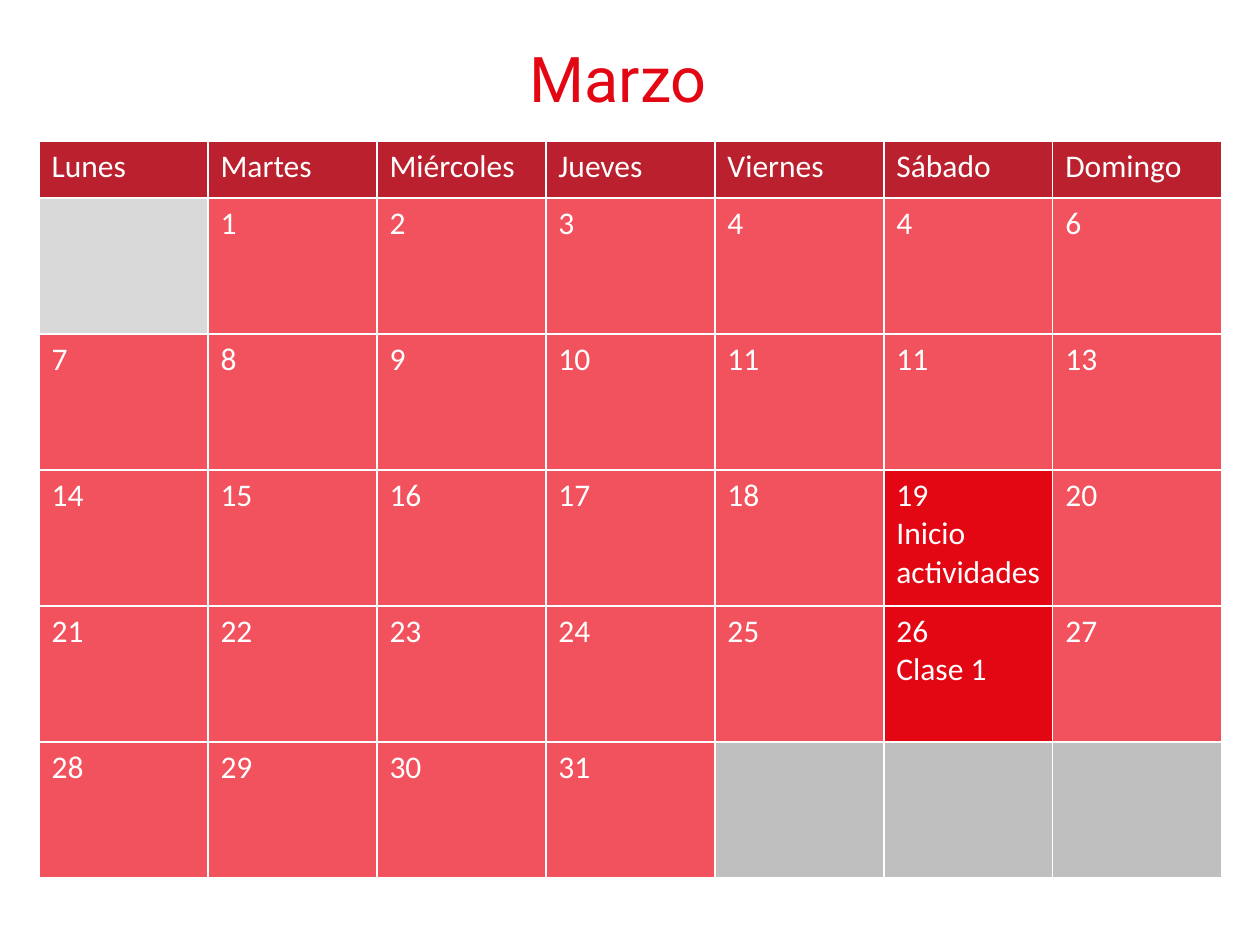
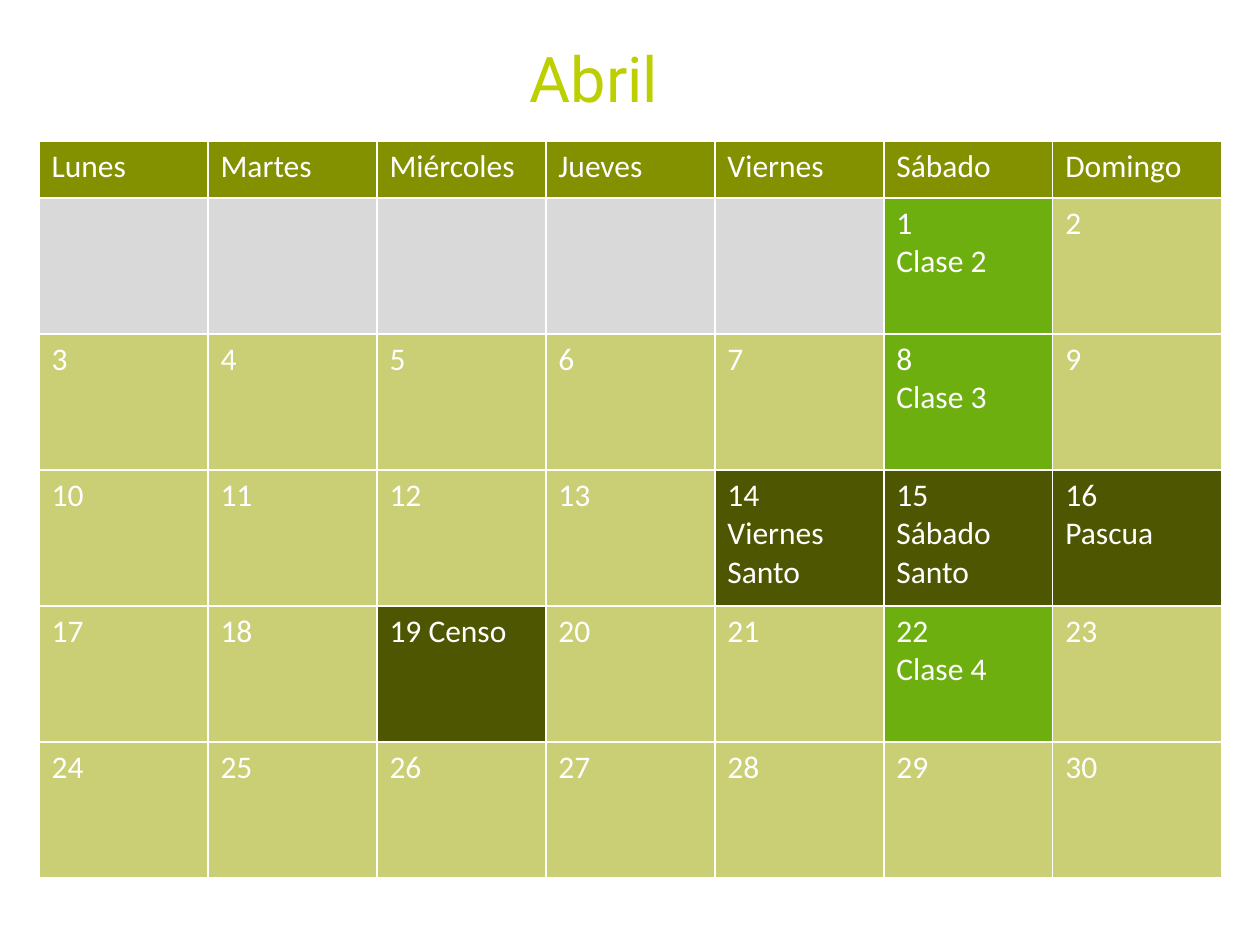
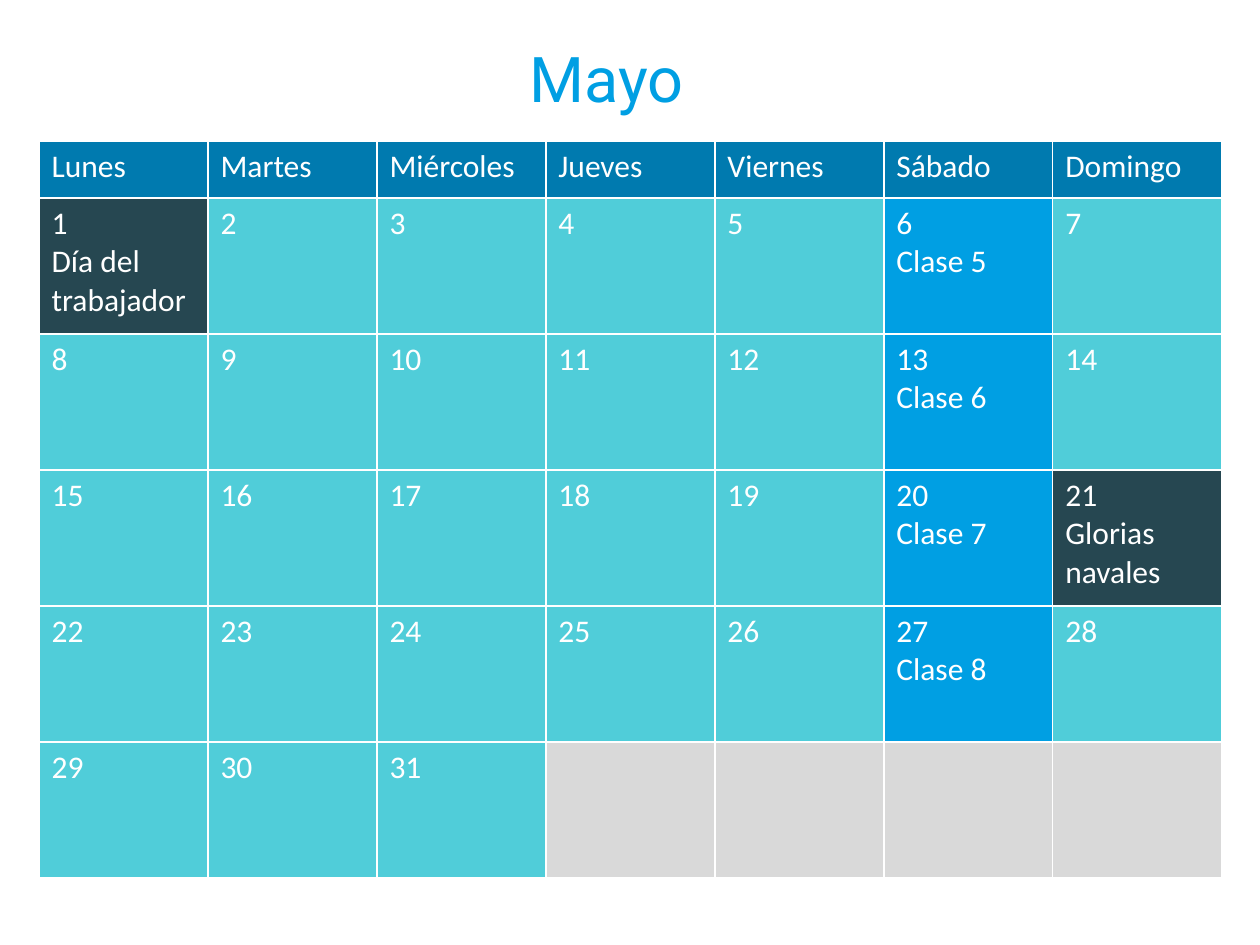
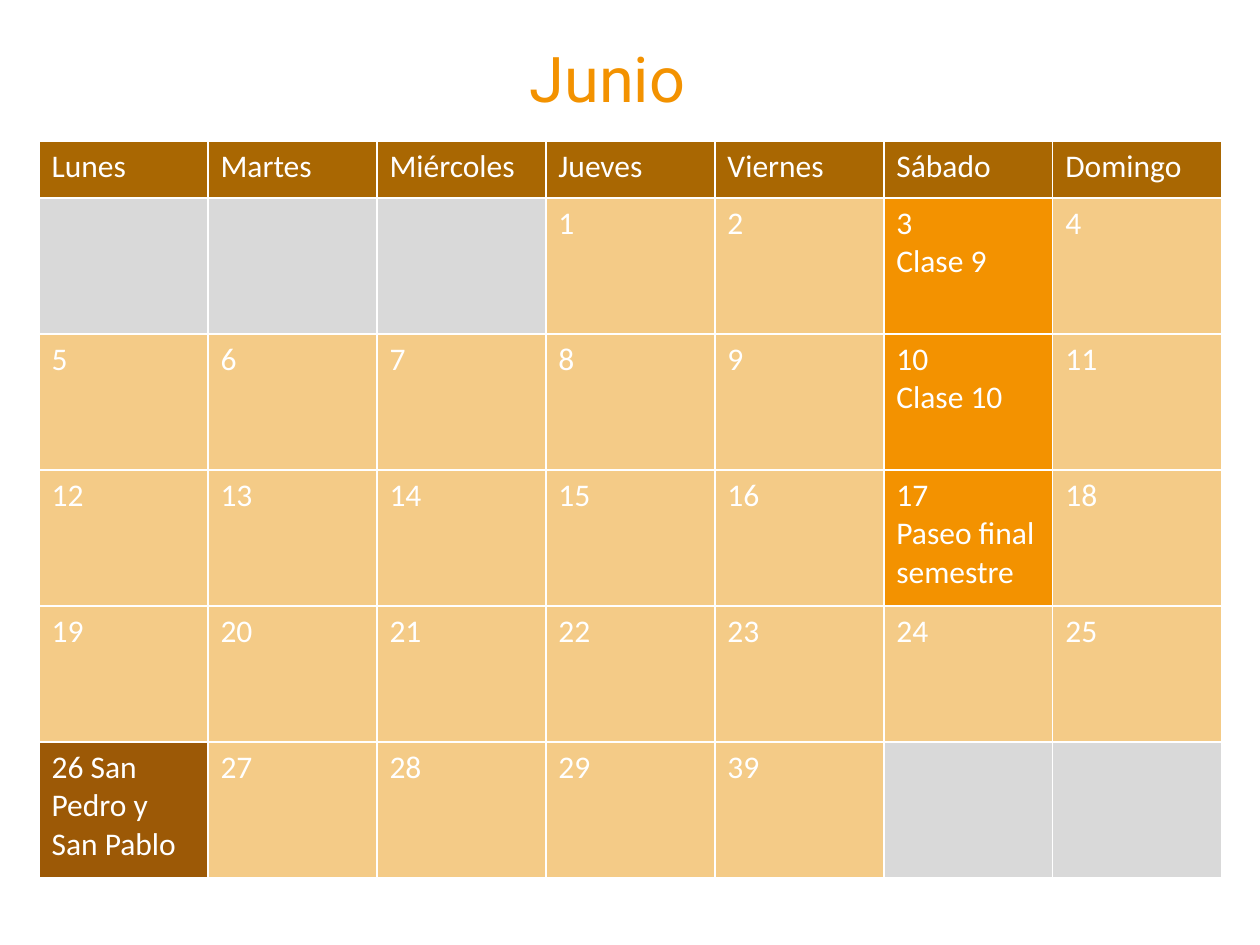
from dataclasses import dataclass, field

from lxml import etree
from pptx import Presentation
from pptx.dml.color import RGBColor
from pptx.enum.text import MSO_ANCHOR, MSO_AUTO_SIZE, PP_ALIGN
from pptx.oxml.ns import qn
from pptx.util import Emu, Pt

LEFT = PP_ALIGN.LEFT
TOP = MSO_ANCHOR.TOP
FIT_SHAPE = MSO_AUTO_SIZE.SHAPE_TO_FIT_TEXT

PX_PER_INCH = 126
EMU_PER_INCH = 914400
TITLE_ONLY = 5

WHITE = "FFFFFF"
BLANK_DAY = "D9D9D9"
TITLE_FONT = "Roboto"
CELL_FONT = "Calibri"

WEEKDAYS = ["Lunes", "Martes", "Miércoles", "Jueves", "Viernes", "Sábado", "Domingo"]
WEEKS = 5
GRID_LEFT, GRID_TOP = 39, 141
DAY_WIDTH, HEADER_HEIGHT, WEEK_HEIGHT = 169, 57, 136
TITLE_LEFT, TITLE_TOP, TITLE_HEIGHT = 517, 33, 89


@dataclass
class Month:
    name: str
    title_width: int
    first_column: int
    length: int
    title_color: str
    header_color: str
    day_color: str
    activity_color: str
    holiday_color: str = ""
    trailing_color: str = BLANK_DAY
    activities: dict = field(default_factory=dict)
    holidays: dict = field(default_factory=dict)
    relabelled: dict = field(default_factory=dict)

    def day_cell(self, position):
        day = position - self.first_column + 1
        if day < 1:
            return "", BLANK_DAY
        if day > self.length:
            return "", self.trailing_color
        if day in self.activities:
            return f"{day}\n{self.activities[day]}", self.activity_color
        if day in self.holidays:
            return f"{day}{self.holidays[day]}", self.holiday_color
        return str(self.relabelled.get(day, day)), self.day_color


MONTHS = [
    Month("Marzo", 217, 1, 31, "E30613", "BA202E", "F2525E", "E30613",
          trailing_color="BFBFBF",
          activities={19: "Inicio actividades", 26: "Clase 1"},
          relabelled={5: 4, 12: 11}),
    Month("Abril", 193, 5, 30, "BCCF00", "839100", "CACE74", "6EAF10", "4E5601",
          activities={1: "Clase 2", 8: "Clase 3", 22: "Clase 4"},
          holidays={14: "\nViernes Santo", 15: "\nSábado Santo",
                    16: "\nPascua", 19: " Censo"}),
    Month("Mayo", 189, 0, 31, "009FE3", "007AAF", "50CDD9", "009FE3", "264751",
          activities={6: "Clase 5", 13: "Clase 6", 20: "Clase 7", 27: "Clase 8"},
          holidays={1: "\nDía del trabajador", 21: "\nGlorias navales"}),
    Month("Junio", 198, 3, 30, "F39200", "A96702", "F4CB87", "F39200", "9C5906",
          activities={3: "Clase 9", 10: "Clase 10", 17: "Paseo final semestre"},
          holidays={26: " San Pedro y San Pablo"},
          relabelled={30: 39}),
]


def px(length):
    return Emu(round(length * EMU_PER_INCH / PX_PER_INCH))


def rgb(color):
    return RGBColor.from_string(color)


def write_text(frame, text, *, size, font, color, align=LEFT):
    frame.text = text
    for paragraph in frame.paragraphs:
        paragraph.alignment = align
        for target in [paragraph, *paragraph.runs]:
            target.font.size = Pt(size)
            target.font.name = font
            target.font.color.rgb = rgb(color)


def add_borders(cell, color, width):
    properties = cell._tc.get_or_add_tcPr()
    for side in ("lnL", "lnR", "lnT", "lnB"):
        line = etree.SubElement(properties, qn(f"a:{side}"), w=str(Pt(width)))
        fill = etree.SubElement(line, qn("a:solidFill"))
        etree.SubElement(fill, qn("a:srgbClr"), val=color)


def format_cell(cell, text, fill):
    add_borders(cell, WHITE, 1)
    cell.fill.solid()
    cell.fill.fore_color.rgb = rgb(fill)
    write_text(cell.text_frame, text, size=18, font=CELL_FONT, color=WHITE)


def place_title(slide, month):
    title = slide.shapes.title
    title.left, title.top = px(TITLE_LEFT), px(TITLE_TOP)
    title.width, title.height = px(month.title_width), px(TITLE_HEIGHT)
    frame = title.text_frame
    frame.word_wrap = False
    frame.auto_size = FIT_SHAPE
    frame.vertical_anchor = TOP
    write_text(frame, month.name, size=36, font=TITLE_FONT, color=month.title_color)


def add_calendar(slide, month):
    columns = len(WEEKDAYS)
    width = columns * DAY_WIDTH
    height = HEADER_HEIGHT + WEEKS * WEEK_HEIGHT
    calendar = slide.shapes.add_table(
        WEEKS + 1, columns, px(GRID_LEFT), px(GRID_TOP), px(width), px(height)
    ).table
    calendar.horz_banding = False
    calendar.first_row = False
    for index, row in enumerate(calendar.rows):
        row.height = px(WEEK_HEIGHT if index else HEADER_HEIGHT)
    for column, weekday in enumerate(WEEKDAYS):
        format_cell(calendar.cell(0, column), weekday, month.header_color)
    for position in range(WEEKS * columns):
        week, column = divmod(position, columns)
        format_cell(calendar.cell(week + 1, column), *month.day_cell(position))


def main():
    presentation = Presentation()
    presentation.slide_width = px(1260)
    presentation.slide_height = px(945)
    for month in MONTHS:
        slide = presentation.slides.add_slide(presentation.slide_layouts[TITLE_ONLY])
        place_title(slide, month)
        add_calendar(slide, month)
    presentation.save("out.pptx")


if __name__ == "__main__":
    main()
